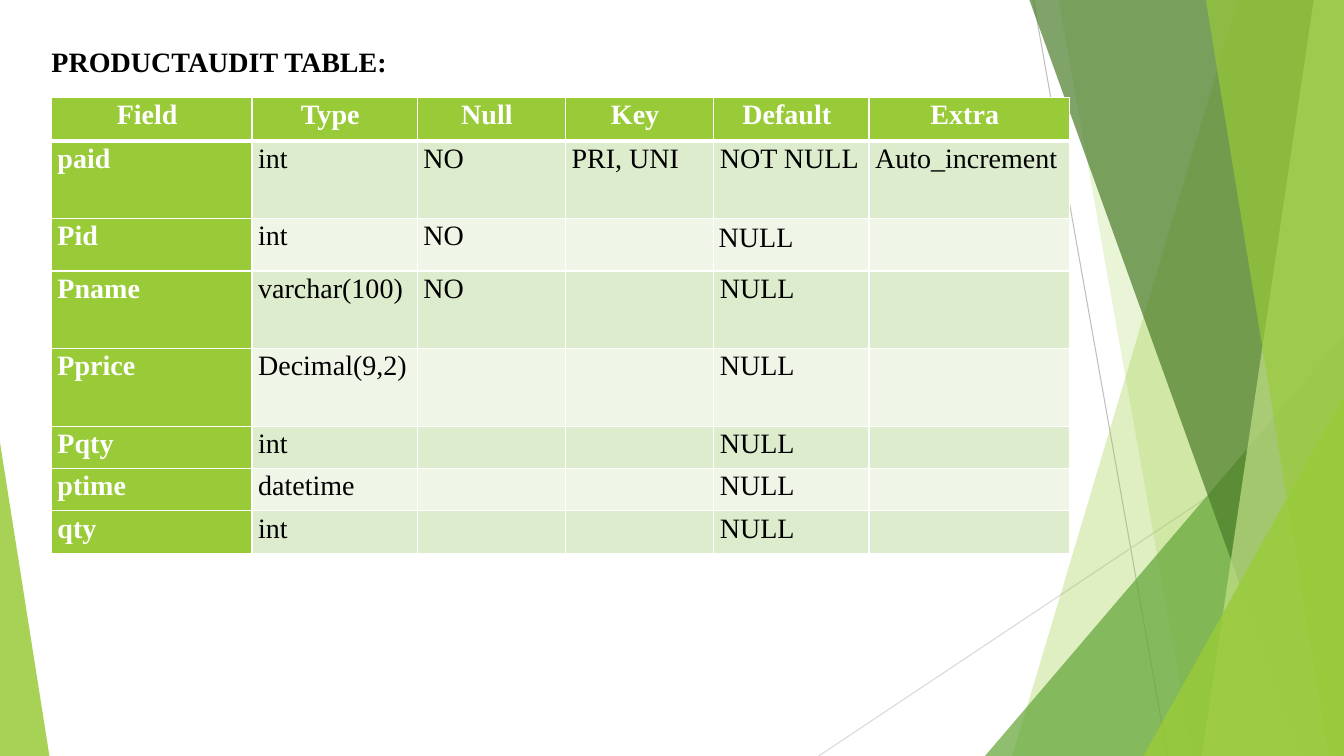
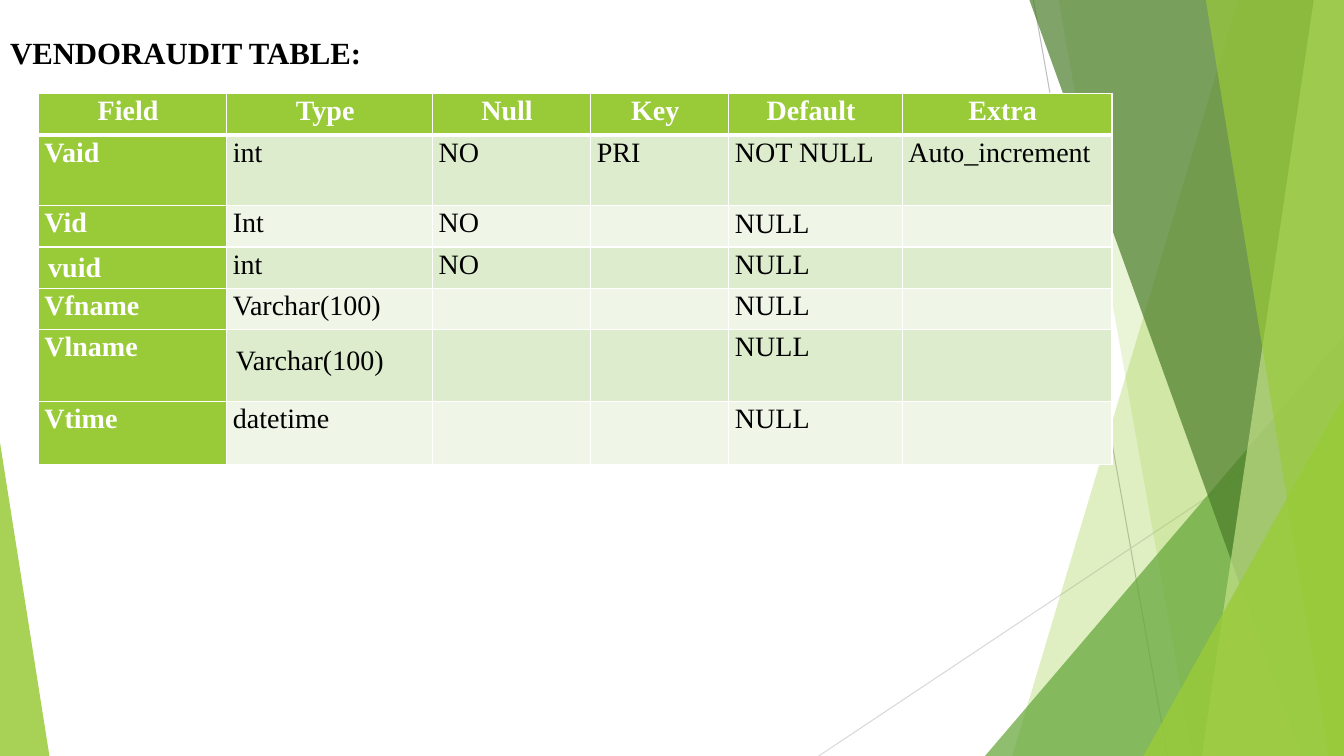
from lxml import etree
from pptx import Presentation
from pptx.dml import color
from pptx.enum import shapes, text
from pptx.oxml import ns
from pptx.util import Inches, Pt

COLORS = {
    "lime": "99CB38",
    "green": "63A537",
    "forest": "4A7C29",
    "pale": "C2E088",
    "band_dark": "DEECCE",
    "band_light": "EFF6E8",
    "white": "FFFFFF",
    "black": "000000",
    "ray_dark": "BFBFBF",
    "ray_light": "D9D9D9",
}
FONT = "Times New Roman"
WIDTH, HEIGHT = 13.33, 7.5

RAYS = [
    ((10.25, 0), (11.58, HEIGHT), "ray_dark"),
    ((WIDTH, 4.03), (8.12, HEIGHT), "ray_light"),
]
FACETS = [
    ("blade", (12.28, 10.04), "lime", 30),
    ("blade", (10.5, 11.83), "lime", 20),
    ("corner", (9.77, 3.33, 3.56, 4.17, 1), "green", 72),
    ("blade", (10.21, 12.91), "forest", 70),
    ("blade", (13.03, 11.92), "pale", 70),
    ("blade", (11.96, 13.18), "lime", 65),
    ("corner", (11.34, 3.93, 1.99, 3.57, 1), "lime", 80),
    ("corner", (0, 4.39, 0.49, 3.11, 0), "lime", 85),
]

HEADINGS = ["Field ", "Type ", "Null ", "Key ", "Default ", "Extra "]
AUDITS = [
    {
        "title": "PRODUCTAUDIT TABLE:",
        "title_box": (0.41, 0.36, 3.63, 0.54),
        "title_size": 20,
        "origin": (0.51, 0.97),
        "columns": [1.99, 1.64, 1.47, 1.47, 1.54, 1.99],
        "heights": [0.43, 0.77, 0.52, 0.77, 0.77, 0.42, 0.42, 0.42],
        "fields": [
            ["paid", "int", "NO", "PRI, UNI", "NOT NULL", "Auto_increment"],
            ["Pid", "int", "NO", "", "", ""],
            ["Pname", "varchar(100)", "NO", "", "NULL", ""],
            ["Pprice", "Decimal(9,2)", "", "", "NULL", ""],
            ["Pqty", "int", "", "", "NULL", ""],
            ["ptime", "datetime", "", "", "NULL", ""],
            ["qty", "int", "", "", "NULL", ""],
        ],
        "loose_values": [("NULL", (7.03, 2.13, 1.44, 0.44), "black", False)],
    },
    {
        "title": "VENDORAUDIT TABLE:",
        "title_box": (0, 0.25, 3.8, 0.88),
        "title_size": 22,
        "origin": (0.38, 0.93),
        "columns": [1.87, 2.04, 1.57, 1.37, 1.72, 2.08],
        "heights": [0.41, 0.7, 0.41, 0.41, 0.41, 0.71, 0.63],
        "fields": [
            ["Vaid", "int", "NO", "PRI", "NOT NULL", "Auto_increment"],
            ["Vid", "Int", "NO", "", "", ""],
            ["", "int", "NO", "", "NULL", ""],
            ["Vfname", "Varchar(100)", "", "", "NULL", ""],
            ["Vlname", "", "", "", "NULL", ""],
            ["Vtime", "datetime", "", "", "NULL", ""],
        ],
        "loose_values": [
            ("NULL", (7.19, 1.99, 1.37, 0.44), "black", False),
            ("Varchar(100)", (2.24, 3.35, 1.71, 0.44), "black", False),
            ("vuid", (0.38, 2.43, 3.04, 0.44), "white", True),
        ],
    },
]


def rgb(name):
    return color.RGBColor.from_string(COLORS[name])


def inches(box):
    return [Inches(length) for length in box]


def add_run(paragraph, words, tint, bold=False, size=20):
    run = paragraph.add_run()
    run.text = words
    run.font.name = FONT
    run.font.size = Pt(size)
    run.font.bold = bold
    run.font.color.rgb = rgb(tint)


def draw_ray(slide, start, end, tint):
    ray = slide.shapes.add_connector(
        shapes.MSO_CONNECTOR.STRAIGHT, *inches(start), *inches(end))
    ray.line.color.rgb = rgb(tint)
    ray.line.width = Pt(0.75)
    etree.SubElement(ray.element.spPr, ns.qn("a:effectLst"))
    return ray


def draw_facet(slide, form, geometry, tint, opacity):
    if form == "blade":
        top_x, bottom_x = geometry
        outline = slide.shapes.build_freeform(Inches(top_x), 0)
        corners = [(WIDTH, 0), (WIDTH, HEIGHT), (bottom_x, HEIGHT)]
        outline.add_line_segments([inches(corner) for corner in corners])
        facet = outline.convert_to_shape()
    else:
        *box, apex = geometry
        facet = slide.shapes.add_shape(
            shapes.MSO_SHAPE.ISOSCELES_TRIANGLE, *inches(box))
        facet.adjustments[0] = apex
    facet.shadow.inherit = False
    facet.fill.solid()
    facet.fill.fore_color.rgb = rgb(tint)
    facet.line.fill.background()
    tone = facet.element.spPr.find(".//" + ns.qn("a:srgbClr"))
    etree.SubElement(tone, ns.qn("a:alpha"), val=str(opacity * 1000))
    return facet


def move_backdrop_to_layout(slide, layout):
    backdrop = [draw_ray(slide, *ray) for ray in RAYS]
    backdrop += [draw_facet(slide, *facet) for facet in FACETS]
    for order, part in enumerate(backdrop):
        part.element.xpath(".//p:cNvPr")[0].set("id", str(100 + order))
        layout.shapes.element.insert(2 + order, part.element)


def place_title(slide, words, box, size):
    title = slide.shapes.title
    title.left, title.top, title.width, title.height = inches(box)
    frame = title.text_frame
    frame.word_wrap = True
    frame.auto_size = text.MSO_AUTO_SIZE.NONE
    frame.vertical_anchor = text.MSO_ANCHOR.TOP
    frame.margin_top = Inches(0.08)
    heading = frame.paragraphs[0]
    heading.alignment = text.PP_ALIGN.LEFT
    add_run(heading, words, "black", True, size)


def set_borders(cell, top, bottom):
    properties = cell._tc.get_or_add_tcPr()
    sides = [("L", 1), ("R", 1), ("T", top), ("B", bottom)]
    for order, (side, width) in enumerate(sides):
        border = etree.Element(ns.qn("a:ln" + side), w=str(Pt(width)))
        fill = etree.SubElement(border, ns.qn("a:solidFill"))
        etree.SubElement(fill, ns.qn("a:srgbClr"), val=COLORS["white"])
        properties.insert(order, border)


def fill_cell(cell, words, row, column):
    is_heading = row == 0
    is_label = is_heading or column == 0
    band = "band_dark" if row % 2 else "band_light"
    cell.margin_left = cell.margin_top = cell.margin_bottom = 0
    cell.margin_right = Inches(0.04)
    cell.fill.solid()
    cell.fill.fore_color.rgb = rgb("lime" if is_label else band)
    set_borders(cell, 3 if row == 1 else 1, 3 if is_heading else 1)
    if not words:
        return
    entry = cell.text_frame.paragraphs[0]
    entry.alignment = text.PP_ALIGN.CENTER if is_heading else text.PP_ALIGN.LEFT
    entry.line_spacing = 1.07
    entry.space_after = Pt(5.5)
    indents = entry._p.get_or_add_pPr()
    indents.set("marL", str(Inches(0.03 if is_heading else 0.07)))
    indents.set("indent", str(Inches(-0.01)))
    add_run(entry, words, "white" if is_label else "black", is_label)


def place_schema(slide, origin, columns, heights, fields):
    records = [HEADINGS] + fields
    schema = slide.shapes.add_table(
        len(records), len(columns), *inches(origin),
        Inches(sum(columns)), Inches(sum(heights))).table
    for column, width in zip(schema.columns, columns):
        column.width = Inches(width)
    for row, height in zip(schema.rows, heights):
        row.height = Inches(height)
    for r, record in enumerate(records):
        for c, words in enumerate(record):
            fill_cell(schema.cell(r, c), words, r, c)


def place_loose_value(slide, words, box, tint, bold):
    frame = slide.shapes.add_textbox(*inches(box)).text_frame
    frame.word_wrap = True
    add_run(frame.paragraphs[0], words, tint, bold)


def build_audit(slide, audit):
    place_title(slide, audit["title"], audit["title_box"], audit["title_size"])
    place_schema(slide, audit["origin"], audit["columns"],
                 audit["heights"], audit["fields"])
    for loose_value in audit["loose_values"]:
        place_loose_value(slide, *loose_value)


def main():
    deck = Presentation()
    deck.slide_width, deck.slide_height = inches((WIDTH, HEIGHT))
    layout = deck.slide_layouts.get_by_name("Title Only")
    slides = [deck.slides.add_slide(layout) for _ in AUDITS]
    move_backdrop_to_layout(slides[0], layout)
    for slide, audit in zip(slides, AUDITS):
        build_audit(slide, audit)
    deck.save("out.pptx")


if __name__ == "__main__":
    main()
